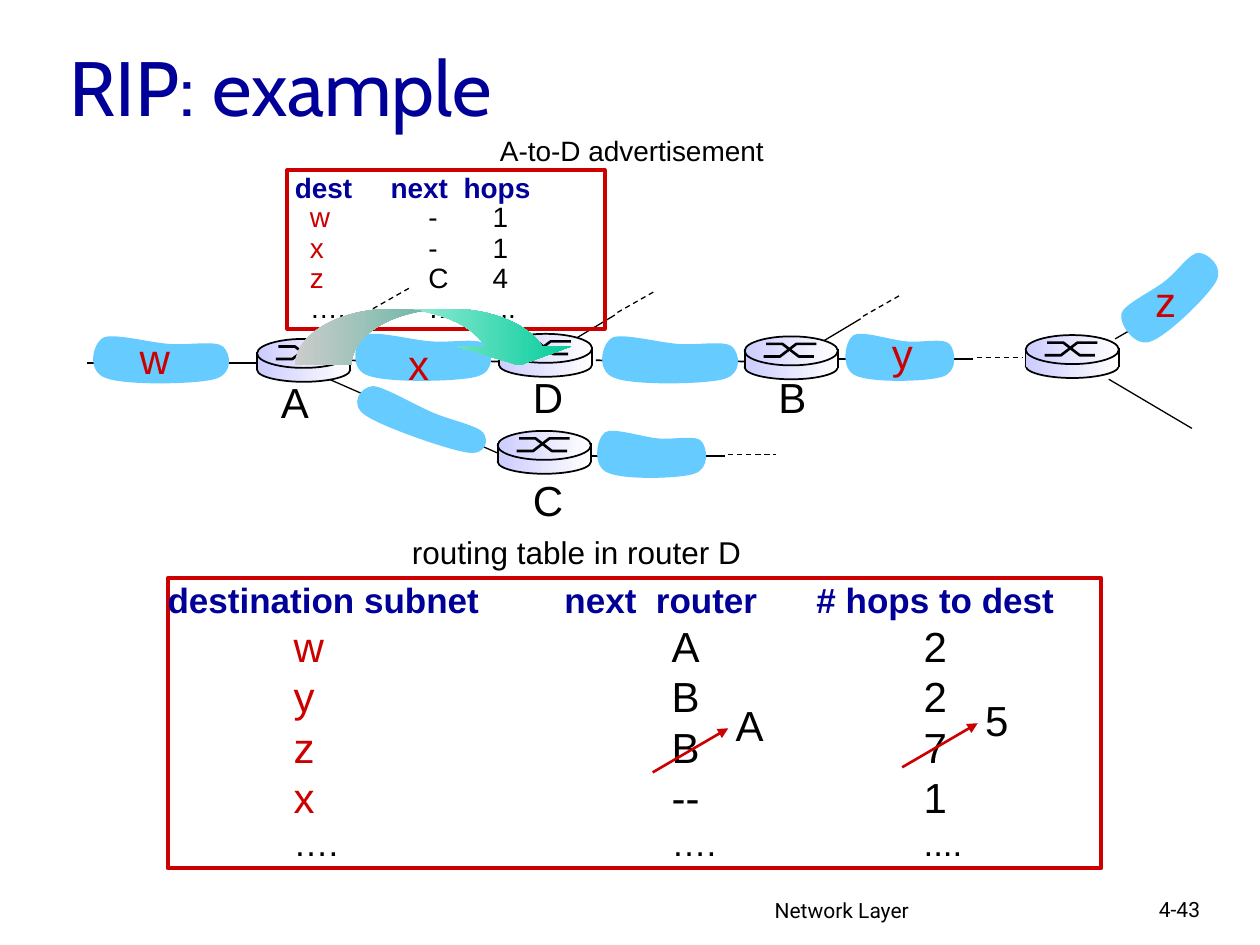
from dataclasses import dataclass

from lxml import etree
from pptx import Presentation
from pptx.dml.color import RGBColor
from pptx.enum.dml import MSO_LINE
from pptx.enum.shapes import MSO_CONNECTOR, MSO_SHAPE
from pptx.enum.text import MSO_ANCHOR, PP_ALIGN
from pptx.oxml.ns import qn
from pptx.util import Inches, Pt

DASH = MSO_LINE.DASH
STRAIGHT = MSO_CONNECTOR.STRAIGHT
OVAL, RECT, ARC_ARROW = MSO_SHAPE.OVAL, MSO_SHAPE.RECTANGLE, MSO_SHAPE.CURVED_DOWN_ARROW
TOP, MIDDLE = MSO_ANCHOR.TOP, MSO_ANCHOR.MIDDLE
LEFT = PP_ALIGN.LEFT


@dataclass(frozen=True)
class Theme:
    ink: str = "000000"
    navy: str = "000099"
    red: str = "CC0000"
    subnet: str = "66CCFF"
    router: tuple = ("CCCCFF", "FFFFFF")
    arc: tuple = ("FFFFFF", "00CC99")
    font: str = "Arial"
    title_font: str = "Cabin"
    footer_font: str = "Roboto"
    title: int = 44
    label: int = 24
    header: int = 20
    caption: int = 18
    small: int = 16
    footer: int = 12


THEME = Theme()

# Text: words, (left, top, width, height), size, colour, font
TITLE = ("RIP: example", (0.45, 0.21, 4.31, 0.94), THEME.title, THEME.navy, THEME.title_font)
CAPTIONS = [
    ("A-to-D advertisement", (3.87, 1.01, 2.3, 0.37), THEME.small, THEME.ink, THEME.font),
    ("routing table in router D", (3.17, 4.18, 2.81, 0.4), THEME.caption, THEME.ink, THEME.font),
    ("Network Layer", (6.05, 7.07, 3.17, 0.31), THEME.footer, THEME.ink, THEME.footer_font),
    ("4-43", (9.1, 7.07, 0.74, 0.3), THEME.footer, THEME.ink, THEME.footer_font),
]

# Letters: text, left, top
SUBNET_NAMES = [("w", 1.01, 2.59), ("x", 3.14, 2.64), ("y", 6.98, 2.55), ("z", 9.07, 2.14)]
ROUTER_NAMES = [("A", 2.13, 2.94), ("C", 4.13, 3.72), ("D", 4.13, 2.9), ("B", 6.08, 2.9)]
NEW_VALUES = [("A", 5.74, 5.5), ("5", 7.72, 5.46)]

# Subnet clouds: left, top, width, height, rotation
SUBNETS = [
    (2.77, 2.62, 1.16, 0.42, 0), (2.76, 3.18, 1.16, 0.31, 19.7),
    (0.69, 2.64, 1.16, 0.42, 0), (4.73, 2.64, 1.16, 0.42, 0),
    (6.67, 2.62, 0.93, 0.42, 0), (8.81, 2.15, 0.95, 0.42, 316.8),
    (4.7, 3.39, 0.93, 0.42, 0),
]
CLOUD_SIZE = (116, 42)
CLOUD_START = (66, 9)
CLOUD_CURVES = [
    [(50, 8), (21, 0), (13, 4)], [(4, 9), (0, 31), (15, 36)],
    [(30, 42), (86, 41), (101, 37)], [(117, 33), (114, 16), (108, 11)],
    [(102, 6), (82, 10), (66, 9)],
]

# Links: x1, y1, x2, y2
WIDE_LINKS = [(2.77, 2.86, 4.12, 2.87), (4.73, 2.86, 6.09, 2.87), (0.69, 2.88, 2.05, 2.88)]
LINKS = [
    (6.65, 2.85, 7.72, 2.85), (8.85, 2.69, 9.51, 2.31), (8.8, 3.01, 9.46, 3.4),
    (2.59, 3, 3.96, 3.6), (4.68, 3.62, 5.75, 3.62),
]
DASHED_LINKS = [(7.75, 2.84, 8.12, 2.84), (5.78, 3.61, 6.16, 3.61)]
STUBS = [(6.48, 2.74), (4.53, 2.71), (2.59, 2.68)]
CHANGES = [(5.18, 6.13), (7.16, 6.09)]
CHANGE_STEP = (0.6, -0.35)

ROUTERS = [(3.96, 2.65), (5.91, 2.67), (8.14, 2.66), (3.95, 3.42), (2.04, 2.69)]
ROUTER_WIDTH = 0.74
CROSSOVER = [
    [(0.15, 0.16), (0.28, 0.16), (0.41, 0.06), (0.57, 0.06)],
    [(0.17, 0.06), (0.3, 0.06), (0.43, 0.16), (0.55, 0.16)],
]

ADVERTISEMENT = dict(
    at=(2.28, 1.35, 2.52, 1.26), sizes=(THEME.small, THEME.small, THEME.small),
    head_tabs=(0.06, 0.82, 1.4), tabs=(0.18, 1.12, 1.63), spacing=0.9,
    head=["", "dest", "next", "hops"],
    rows=[("w", "-", "1"), ("x", "-", "1"), ("z", "C", "4"), ("….", "…", "...")],
)
ROUTING = dict(
    at=(1.33, 4.59, 7.41, 2.3), sizes=(THEME.header, THEME.label, THEME.header),
    head_tabs=(3.15, 5.15), tabs=(1, 4, 6), spacing=1,
    head=["destination subnet", "next  router", "# hops to dest"],
    rows=[("w", "A", "2"), ("y", "B", "2"), ("z", "B", "7"), ("x", "--", "1"),
          ("….", "….", "....")],
)


def rgb(value):
    return RGBColor.from_string(value)


def box_of(values):
    return [Inches(value) for value in values]


def add_span(para, text, size, color, font=THEME.font, bold=False):
    span = para.add_run()
    span.text = text
    span.font.size, span.font.name, span.font.bold = Pt(size), font, bold
    span.font.color.rgb = rgb(color)


def add_text(page, text, at, size, color, font, anchor=TOP):
    box = page.shapes.add_textbox(*box_of(at))
    box.text_frame.word_wrap = False
    box.text_frame.vertical_anchor = anchor
    add_span(box.text_frame.paragraphs[0], text, size, color, font)


def add_letters(page, letters, color):
    for text, left, top in letters:
        add_text(page, text, (left, top, 0.42, 0.5), THEME.label, color, THEME.font)


def add_line(page, ends, width=0.75, color=THEME.ink, dash=None, arrow=False):
    line = page.shapes.add_connector(STRAIGHT, *box_of(ends))
    line.line.width, line.line.color.rgb = Pt(width), rgb(color)
    if dash:
        line.line.dash_style = dash
    properties = line._element.spPr
    if arrow:
        etree.SubElement(properties.find(qn("a:ln")), qn("a:tailEnd"), type="triangle")
    etree.SubElement(properties, qn("a:effectLst"))


def add_gradient_shape(page, kind, at, colors, outlined):
    shape = page.shapes.add_shape(kind, *box_of(at))
    shape.shadow.inherit = False
    shape.fill.gradient()
    shape.fill.gradient_angle = 0
    for stop, color in zip(shape.fill.gradient_stops, colors):
        stop.color.rgb = rgb(color)
    if outlined:
        shape.line.color.rgb, shape.line.width = rgb(THEME.ink), Pt(1)
    else:
        shape.line.fill.background()
    return shape


def add_polyline(page, points, closed):
    start, *others = [box_of(point) for point in points]
    builder = page.shapes.build_freeform(*start)
    builder.add_line_segments(others, close=closed)
    shape = builder.convert_to_shape()
    shape.shadow.inherit = False
    return shape


def add_cloud(page, left, top, width, height, rotation):
    """Start from the bounding rectangle, then give its path the curved outline."""
    right, bottom = left + width, top + height
    cloud = add_polyline(page, [(left, top), (right, top), (right, bottom), (left, bottom)], True)
    outline = next(cloud._element.iter(qn("a:path")))
    for child in list(outline):
        outline.remove(child)
    for name, value in zip("wh", CLOUD_SIZE):
        outline.set(name, str(value))
    for tag, points in [("a:moveTo", [CLOUD_START])] + [("a:cubicBezTo", c) for c in CLOUD_CURVES]:
        step = etree.SubElement(outline, qn(tag))
        for x, y in points:
            etree.SubElement(step, qn("a:pt"), x=str(x), y=str(y))
    etree.SubElement(outline, qn("a:close"))
    cloud.rotation = rotation
    cloud.fill.solid()
    cloud.fill.fore_color.rgb = rgb(THEME.subnet)
    cloud.line.fill.background()


def add_router(page, x, y):
    add_gradient_shape(page, OVAL, (x, y + 0.15, ROUTER_WIDTH, 0.19), THEME.router, True)
    add_gradient_shape(page, RECT, (x, y + 0.13, ROUTER_WIDTH, 0.12), THEME.router, False)
    add_gradient_shape(page, OVAL, (x, y, ROUTER_WIDTH, 0.23), THEME.router, True)
    for points in CROSSOVER:
        mark = add_polyline(page, [(x + dx, y + dy) for dx, dy in points], False)
        mark.fill.background()
        mark.line.color.rgb, mark.line.width = rgb(THEME.ink), Pt(1.5)
    for side in (x, x + ROUTER_WIDTH):
        add_line(page, (side, y + 0.1, side, y + 0.25), 1)


def set_tabs(para, stops):
    tabs = etree.SubElement(para._p.get_or_add_pPr(), qn("a:tabLst"))
    for stop in stops:
        etree.SubElement(tabs, qn("a:tab"), pos=str(Inches(stop)), algn="l")


def add_tabbed_box(page, at, sizes, head_tabs, tabs, spacing, head, rows):
    """Red frame with a bold heading and tab-aligned rows; the last row is an ellipsis."""
    frame = page.shapes.add_shape(RECT, *box_of(at))
    frame.shadow.inherit = False
    frame.fill.background()
    frame.line.color.rgb, frame.line.width = rgb(THEME.red), Pt(2.25)
    text = frame.text_frame
    text.word_wrap, text.vertical_anchor = True, TOP
    text.margin_left = text.margin_right = text.margin_top = text.margin_bottom = 0
    head_size, row_size, last_size = sizes
    para = text.paragraphs[0]
    set_tabs(para, head_tabs)
    para.alignment = LEFT
    add_span(para, "\t".join(head), head_size, THEME.navy, bold=True)
    for row in rows:
        last = row is rows[-1]
        size = last_size if last else row_size
        para = text.add_paragraph()
        set_tabs(para, tabs)
        para.alignment, para.line_spacing = LEFT, spacing
        add_span(para, "\t" + row[0], size, THEME.ink if last else THEME.red)
        add_span(para, "\t" + "\t".join(row[1:]), size, THEME.ink)


def main():
    deck = Presentation()
    deck.slide_width, deck.slide_height = Inches(10), Inches(7.5)
    page = deck.slides.add_slide(deck.slide_layouts[6])

    for ends in WIDE_LINKS:
        add_line(page, ends, 1)
    for ends in LINKS:
        add_line(page, ends)
    for ends in DASHED_LINKS:
        add_line(page, ends, dash=DASH)
    for x, y in STUBS:
        add_line(page, (x, y, x + 0.35, y - 0.21))
        add_line(page, (x + 0.37, y - 0.23, x + 0.67, y - 0.4), dash=DASH)
    for subnet in SUBNETS:
        add_cloud(page, *subnet)
    add_letters(page, SUBNET_NAMES, THEME.red)
    add_letters(page, ROUTER_NAMES, THEME.ink)
    for router in ROUTERS:
        add_router(page, *router)

    add_tabbed_box(page, **ROUTING)
    for x, y in CHANGES:
        add_line(page, (x, y, x + CHANGE_STEP[0], y + CHANGE_STEP[1]), 1.5, THEME.red, arrow=True)
    add_letters(page, NEW_VALUES, THEME.ink)
    add_tabbed_box(page, **ADVERTISEMENT)
    arc = add_gradient_shape(page, ARC_ARROW, (2.34, 2.45, 2.23, 0.45), THEME.arc, False)
    for index, value in enumerate((1, 1.99, 0.33)):
        arc.adjustments[index] = value

    for caption in CAPTIONS:
        add_text(page, *caption)
    add_text(page, *TITLE, anchor=MIDDLE)
    deck.save("out.pptx")


if __name__ == "__main__":
    main()
